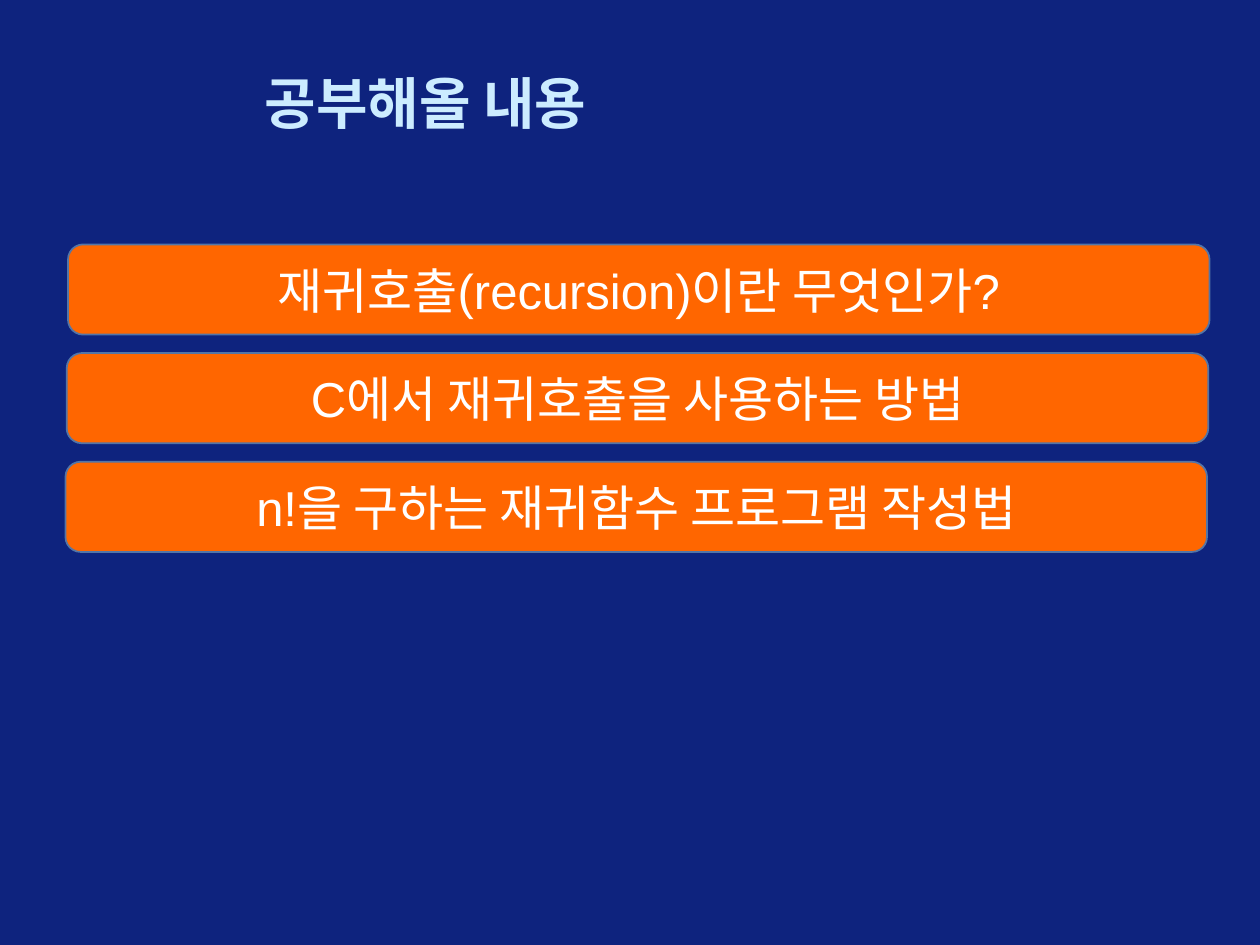
from pptx import Presentation
from pptx.dml.color import RGBColor as RGB
from pptx.enum.shapes import MSO_SHAPE as SHAPE
from pptx.enum.text import MSO_ANCHOR as ANCHOR, PP_ALIGN as ALIGN
from pptx.util import Pt

HUES = {"back": "0E237E", "title": "CCECFF", "bar": "FF6600",
        "edge": "5375A7", "text": "FFFFFF"}
TOPICS = ["재귀호출(recursion)이란 무엇인가?",
          "C에서 재귀호출을 사용하는 방법",
          "n!을 구하는 재귀함수 프로그램 작성법"]


def hue(name):
    return RGB.from_string(HUES[name])


def write(shape, text, size, color, align, bold=False):
    frame = shape.text_frame
    frame.word_wrap = True
    frame.vertical_anchor = ANCHOR.MIDDLE
    para = frame.paragraphs[0]
    para.text = text
    para.alignment = align
    font = para.font
    font.name, font.size, font.bold = "Arial", Pt(size), bold
    font.color.rgb = hue(color)


def add_title(slide, left, top, width, height):
    title = slide.shapes.title
    title.left, title.top = Pt(left), Pt(top)
    title.width, title.height = Pt(width), Pt(height)
    write(title, "공부해올 내용", 32, "title", ALIGN.LEFT, True)


def add_bars(slide, left, top, width, height, gap=10.6, shift=-0.72):
    """Stack one bar per topic in the box, each shifted slightly sideways."""
    count = len(TOPICS)
    tall = (height - gap * (count - 1)) / count
    for i, topic in enumerate(TOPICS):
        bar = slide.shapes.add_shape(
            SHAPE.ROUNDED_RECTANGLE, Pt(left + i * shift),
            Pt(top + i * (tall + gap)), Pt(width), Pt(tall))
        bar.shadow.inherit = False
        bar.fill.solid()
        bar.fill.fore_color.rgb = hue("bar")
        bar.line.color.rgb = hue("edge")
        bar.line.width = Pt(1)
        write(bar, topic, 28, "text", ALIGN.CENTER)


def main():
    deck = Presentation()
    deck.slide_width, deck.slide_height = Pt(720), Pt(540)
    slide = deck.slides.add_slide(deck.slide_layouts.get_by_name("Title Only"))
    back = slide.background.fill
    back.solid()
    back.fore_color.rgb = hue("back")
    add_title(slide, 144, 36, 545.76, 44.64)
    add_bars(slide, 38.88, 139.68, 652.32, 175.68)
    deck.save("out.pptx")


if __name__ == "__main__":
    main()
